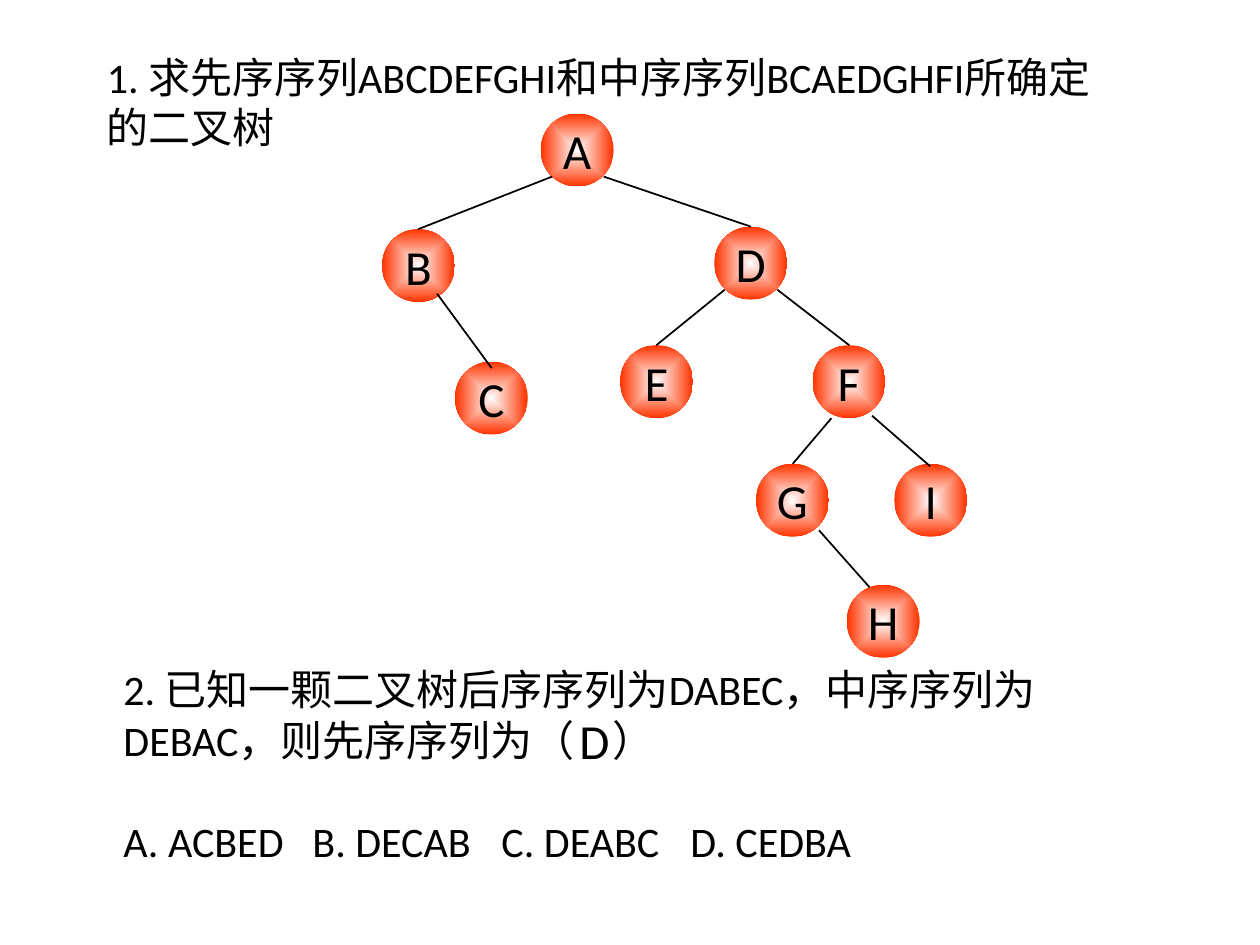
import pptx
import pptx.dml.color
import pptx.enum.shapes
import pptx.enum.text
import pptx.oxml
import pptx.oxml.ns
import pptx.util

Cm, Pt = pptx.util.Cm, pptx.util.Pt
ALIGN = pptx.enum.text.PP_ALIGN
ANCHOR = pptx.enum.text.MSO_ANCHOR
INK = "000000"


def color(code):
    return pptx.dml.color.RGBColor.from_string(code)


def write(shape, lines, size=24, ink=INK, align=ALIGN.LEFT, anchor=ANCHOR.TOP,
          wrap=True, inset=None, gap=0):
    """Fill a shape with paragraphs; each one is a list of runs."""
    frame = shape.text_frame
    frame.word_wrap = wrap
    frame.auto_size = pptx.enum.text.MSO_AUTO_SIZE.NONE
    frame.vertical_anchor = anchor
    if inset is not None:
        frame.margin_left = frame.margin_right = Cm(inset)
        frame.margin_top = frame.margin_bottom = Cm(inset)
    for i, runs in enumerate(lines):
        para = frame.add_paragraph() if i else frame.paragraphs[0]
        para.alignment = align
        para.space_before = Pt(gap if i else 0)
        for text in runs:
            run = para.add_run()
            run.text = text
            run.font.size = Pt(size)
            run.font.name = "Calibri"
            run.font.color.rgb = color(ink)


deck = pptx.Presentation()
deck.slide_width, deck.slide_height = Cm(25.4), Cm(19.05)
slide = deck.slides.add_slide(deck.slide_layouts[5])
shapes = slide.shapes

# First question, as the title
title = shapes.title
title.left, title.top, title.width, title.height = Cm(1.9), Cm(0.91), Cm(21), Cm(3.33)
write(title, [["1. 求先序序列ABCDEFGHI和中序序列BCAEDGHFI所确定的二叉树"]])

# Second question; the answer gap is one widely spaced blank
quiz = shapes.add_textbox(Cm(2.24), Cm(13.26), Cm(21), Cm(4.37))
write(quiz, [["2. 已知一颗二叉树后序序列为DABEC，中序序列为DEBAC，则先序序列为（", " ", "）"],
             ["A. ACBED\tB. DECAB\tC. DEABC\tD. CEDBA"]], gap=29)
blank = quiz.text_frame.paragraphs[0].runs[1]
blank.font._element.set("spc", "1630")

# Tree nodes: left and top of each circle
SIZE = 1.47
NODES = {
    "A": (10.9, 2.29), "B": (7.7, 4.62), "D": (14.4, 4.57),
    "C": (9.17, 7.29), "E": (12.5, 6.96), "F": (16.38, 6.96),
    "G": (15.24, 9.35), "I": (18.03, 9.35), "H": (17.07, 11.79),
}
GLOW = (
    f'<a:gradFill {pptx.oxml.ns.nsdecls("a")} rotWithShape="1"><a:gsLst>'
    '<a:gs pos="0"><a:srgbClr val="FFFFFF"/></a:gs>'
    '<a:gs pos="100000"><a:srgbClr val="FF3300"/></a:gs></a:gsLst>'
    '<a:path path="shape"><a:fillToRect l="50000" t="50000" r="50000" b="50000"/>'
    '</a:path></a:gradFill>'
)
for name, (left, top) in NODES.items():
    node = shapes.add_shape(pptx.enum.shapes.MSO_SHAPE.OVAL,
                            Cm(left), Cm(top), Cm(SIZE), Cm(SIZE))
    node.shadow.inherit = False
    node.line.fill.background()
    node._element.spPr.insert(2, pptx.oxml.parse_xml(GLOW))
    write(node, [[name]], size=28, align=ALIGN.CENTER, anchor=ANCHOR.MIDDLE,
          wrap=False, inset=0)

# Tree edges, from parent to child
EDGES = [
    (11.13, 3.56, 8.43, 4.62), (12.17, 3.56, 15.14, 4.57),
    (8.81, 5.92, 9.91, 7.42), (14.61, 5.84, 13.23, 6.96),
    (15.67, 5.84, 17.12, 6.96), (16.76, 8.43, 15.98, 9.35),
    (17.58, 8.38, 18.75, 9.4), (16.51, 10.69, 17.53, 11.84),
]
for ends in EDGES:
    edge = shapes.add_connector(pptx.enum.shapes.MSO_CONNECTOR.STRAIGHT,
                                *[Cm(value) for value in ends])
    edge.line.color.rgb = color(INK)
    edge.line.width = Pt(1)
    edge._element.spPr.append(
        pptx.oxml.parse_xml(f'<a:effectLst {pptx.oxml.ns.nsdecls("a")}/>'))

# Answer in the gap
answer = shapes.add_textbox(Cm(11.43), Cm(14.2), Cm(1.47), Cm(1.45))
write(answer, [["D"]], size=28)

deck.save("out.pptx")
